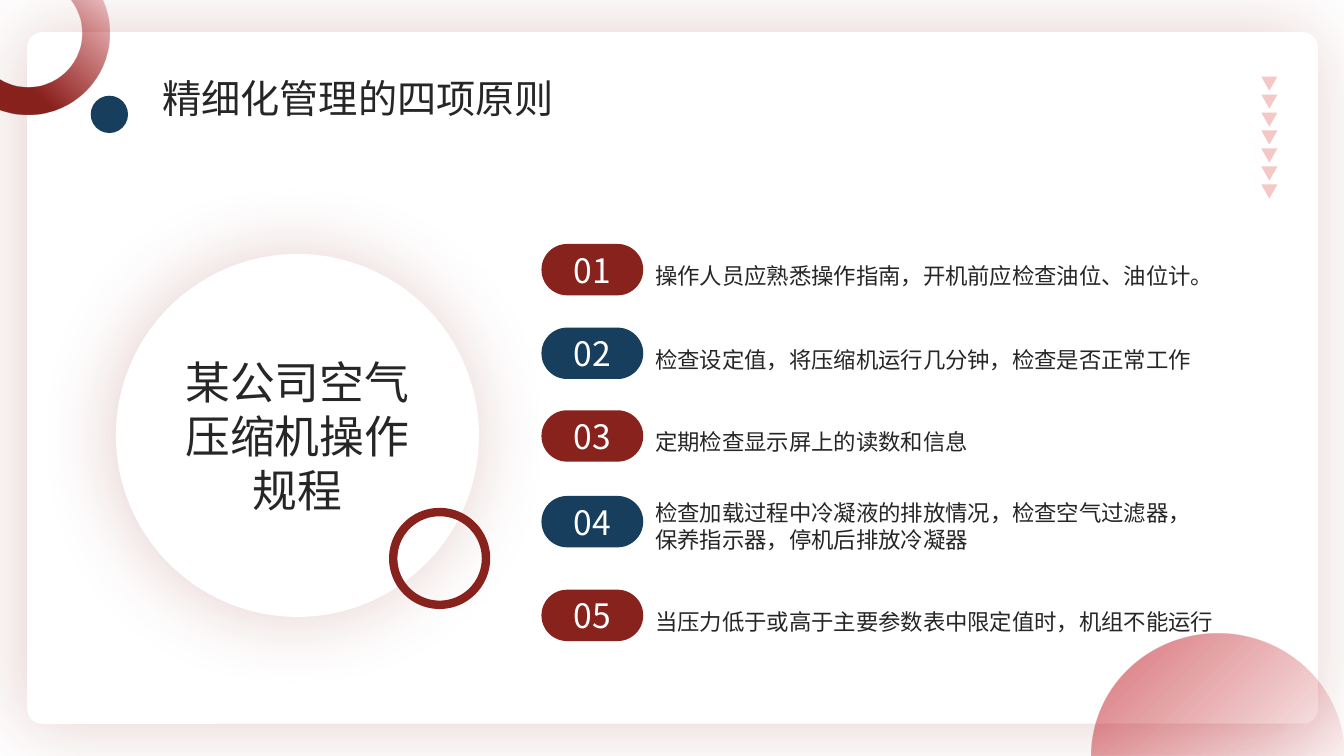
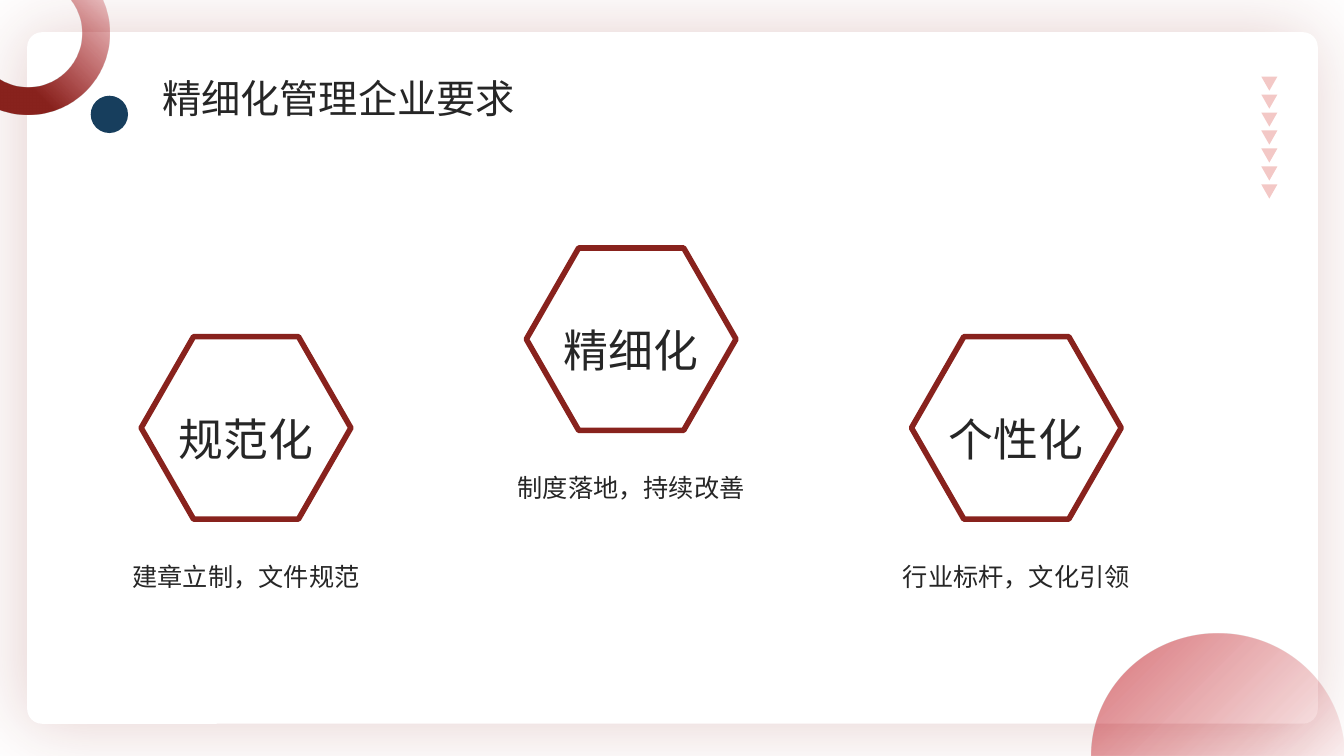
from math import cos, pi, sin

from lxml import etree
from pptx import Presentation
from pptx import util as u
from pptx.dml.color import RGBColor
from pptx.enum import shapes, text
from pptx.oxml.ns import qn

PRINCIPLES_TITLE = "精细化管理的四项原则"
PROCEDURE = "某公司空气压缩机操作规程"
STEPS = [
    (2.42, "操作人员应熟悉操作指南，开机前应检查油位、油位计。"),
    (3.25, "检查设定值，将压缩机运行几分钟，检查是否正常工作"),
    (4.07, "定期检查显示屏上的读数和信息"),
    (4.92, "检查加载过程中冷凝液的排放情况，检查空气过滤器，保养指示器，停机后排放冷凝器"),
    (5.85, "当压力低于或高于主要参数表中限定值时，机组不能运行"),
]
REQUIREMENTS_TITLE = "精细化管理企业要求"
REQUIREMENTS = [
    ("规范化", "建章立制，文件规范"),
    ("精细化", "制度落地，持续改善"),
    ("个性化", "行业标杆，文化引领"),
]

COLORS = {
    "red": "88221D",
    "crimson": "B9000B",
    "navy": "173E5D",
    "pink": "F3C8C6",
    "ink": "262626",
    "white": "FFFFFF",
}
FONT = "Noto Sans CJK SC"
WIDTH, HEIGHT = 13.33, 7.5
SHAPE = shapes.MSO_SHAPE
LEFT, CENTER = text.PP_ALIGN.LEFT, text.PP_ALIGN.CENTER
TOP, MIDDLE = text.MSO_ANCHOR.TOP, text.MSO_ANCHOR.MIDDLE


def color(name):
    return RGBColor.from_string(COLORS[name])


def style(shape, fill=None, line=None, weight=1.5):
    shape.shadow.inherit = False
    if fill:
        shape.fill.solid()
        shape.fill.fore_color.rgb = color(fill)
    else:
        shape.fill.background()
    if line:
        shape.line.color.rgb = color(line)
        shape.line.width = u.Pt(weight)
    else:
        shape.line.fill.background()
    return shape


def draw(slide, kind, box, fill=None, line=None, weight=1.5, adjust=None):
    shape = slide.shapes.add_shape(kind, *map(u.Inches, box))
    if adjust is not None:
        shape.adjustments[0] = adjust
    return style(shape, fill, line, weight)


def outline(slide, contours, fill):
    builder = None
    for contour in contours:
        start, *rest = [(u.Inches(x), u.Inches(y)) for x, y in contour]
        if builder is None:
            builder = slide.shapes.build_freeform(*start)
        else:
            builder.move_to(*start)
        builder.add_line_segments(rest, close=True)
    return style(builder.convert_to_shape(), fill)


def glow(shape):
    effects = shape._element.spPr.find(qn("a:effectLst"))
    shadow = etree.SubElement(
        effects, qn("a:outerShdw"), blurRad=str(u.Pt(54)), dist=str(u.Pt(3)),
        dir="10800000", algn="ctr", rotWithShape="0")
    tint = etree.SubElement(shadow, qn("a:srgbClr"), val=COLORS["red"])
    etree.SubElement(tint, qn("a:alpha"), val="22000")


def fade(shape, stops, angle):
    shape.fill.gradient()
    shape.fill.gradient_angle = angle
    for stop, (position, name, opacity) in zip(shape.fill.gradient_stops, stops):
        stop.position = position
        stop.color.rgb = color(name)
        tint = stop._gs.find(qn("a:srgbClr"))
        etree.SubElement(tint, qn("a:alpha"), val=str(opacity * 1000))


def write(shape, words, size, ink="ink", align=CENTER, anchor=MIDDLE, spacing=None, wrap=True):
    frame = shape.text_frame
    frame.word_wrap = wrap
    frame.auto_size = text.MSO_AUTO_SIZE.NONE
    frame.vertical_anchor = anchor
    frame.text = words
    paragraph = frame.paragraphs[0]
    paragraph.alignment = align
    if spacing:
        paragraph.line_spacing = spacing
    font = paragraph.font
    font.size = u.Pt(size)
    font.color.rgb = color(ink)
    font.name = FONT
    etree.SubElement(font._rPr, qn("a:ea"), typeface=FONT)


def label(slide, box, words, size, **options):
    write(slide.shapes.add_textbox(*map(u.Inches, box)), words, size, anchor=TOP, **options)


def add_page(deck, heading):
    slide = deck.slides.add_slide(deck.slide_layouts[5])
    glow(draw(slide, SHAPE.ROUNDED_RECTANGLE, (0.28, 0.33, 12.78, 6.84), "white", "white", adjust=0.02))

    ring = draw(slide, SHAPE.DONUT, (-0.53, -0.48, 1.62, 1.62), adjust=0.17)
    fade(ring, [(0.34, "red", 100), (1, "crimson", 0)], 45)
    draw(slide, SHAPE.OVAL, (0.9, 0.95, 0.37, 0.37), "navy")

    radius_x, radius_y, steps = 1.25, 1.21, 90
    middle = WIDTH - radius_x
    arc = [(middle - radius_x * cos(pi * i / steps), HEIGHT - radius_y * sin(pi * i / steps))
           for i in range(steps + 1)]
    fade(outline(slide, [arc], "crimson"), [(0.02, "crimson", 54), (1, "crimson", 5)], 315)

    tops = [0.76 + 1.07 / 6 * i for i in range(7)]
    outline(slide, [[(12.51, y), (12.67, y), (12.59, y + 0.14)] for y in tops], "pink")

    title = slide.shapes.title
    title.left, title.top, title.width, title.height = map(u.Inches, (1.51, 0.69, 6.23, 0.57))
    write(title, heading, 28, align=LEFT, anchor=TOP)
    slide.shapes._spTree.append(title._element)
    return slide


def add_principles(deck):
    slide = add_page(deck, PRINCIPLES_TITLE)
    disc = draw(slide, SHAPE.OVAL, (1.16, 2.53, 3.58, 3.58), "white", "white")
    glow(disc)
    write(disc, PROCEDURE, 32)
    draw(slide, SHAPE.OVAL, (3.9, 5.08, 0.92, 0.92), line="red", weight=6)
    for number, (top, step) in enumerate(STEPS, 1):
        pill = draw(slide, SHAPE.ROUNDED_RECTANGLE, (5.37, top, 1.01, 0.51),
                    "red" if number % 2 else "navy", adjust=0.5)
        write(pill, f"{number:02}", 24, "white")
        if len(step) > 30:
            label(slide, (6.4, top - 0.02, 5.35, 0.64), step, 16, align=LEFT)
        else:
            label(slide, (6.4, top, 6, 0.46), step, 16, align=LEFT, spacing=1.5)


def add_requirements(deck):
    slide = add_page(deck, REQUIREMENTS_TITLE)
    for column, (name, detail) in enumerate(REQUIREMENTS):
        center = 2.44 + 3.82 * column
        top = 2.46 if column == 1 else 3.34
        hexagon = draw(slide, SHAPE.HEXAGON, (center - 1.04, top, 2.08, 1.81),
                       line="red", weight=4, adjust=0.287)
        write(hexagon, name, 32, spacing=1.4, wrap=False)
        label(slide, (center - 1.5, top + 2.18, 3, 0.4), detail, 18)


def main():
    deck = Presentation()
    deck.slide_width, deck.slide_height = u.Inches(WIDTH), u.Inches(HEIGHT)
    add_principles(deck)
    add_requirements(deck)
    deck.save("out.pptx")


if __name__ == "__main__":
    main()
